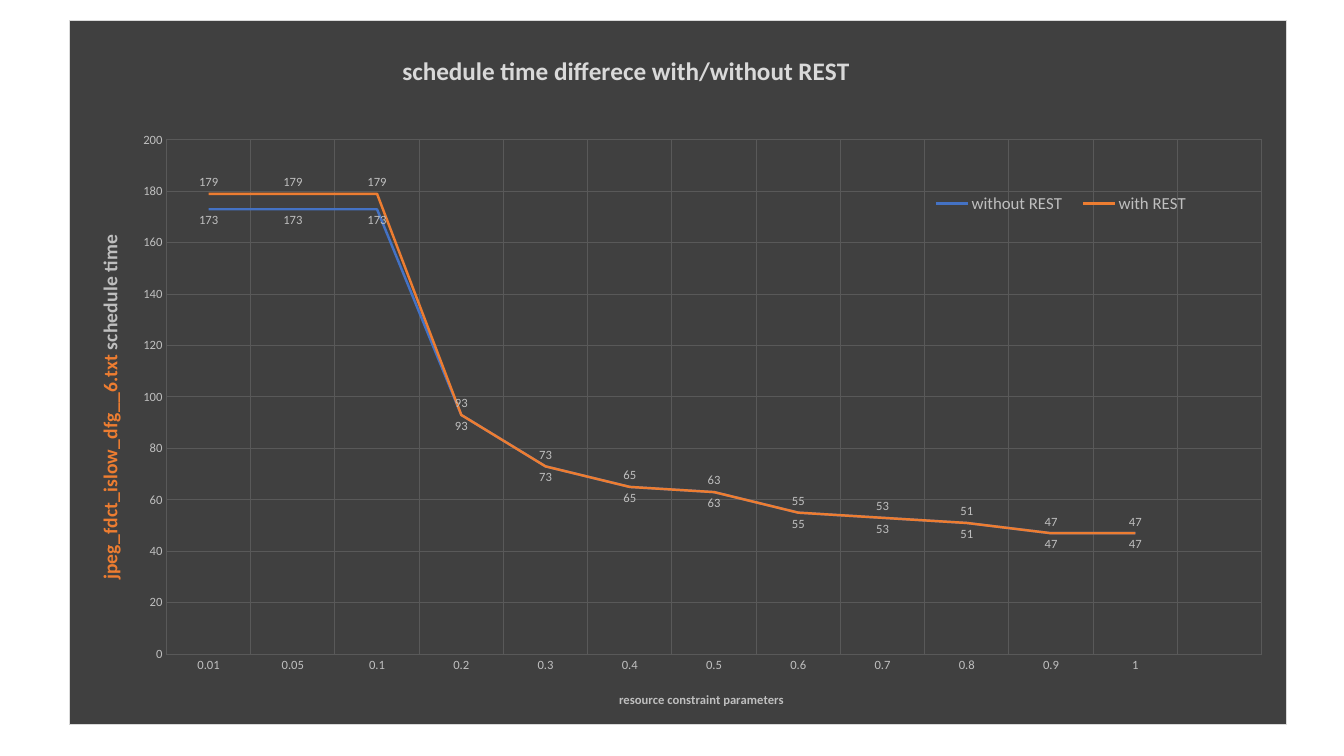
from dataclasses import dataclass

from lxml.etree import SubElement
from pptx import Presentation
from pptx.chart.data import CategoryChartData
from pptx.dml.color import RGBColor
from pptx.enum.chart import XL_CHART_TYPE, XL_LABEL_POSITION, XL_LEGEND_POSITION, XL_MARKER_STYLE, XL_TICK_MARK
from pptx.oxml import parse_xml
from pptx.oxml.ns import nsdecls, qn
from pptx.util import Pt


@dataclass(frozen=True)
class Theme:
    font: str = "Calibri"
    panel: str = "404040"
    border: str = "D9D9D9"
    grid: str = "595959"
    heading: str = "D9D9D9"
    text: str = "BFBFBF"
    blue: str = "4472C4"
    orange: str = "ED7D31"
    title_size: int = 18
    value_title_size: int = 14
    legend_size: int = 12
    small_size: int = 9


@dataclass(frozen=True)
class Schedule:
    name: str
    times: tuple
    color: str
    label_position: XL_LABEL_POSITION


THEME = Theme()
CONSTRAINTS = ("0.01", "0.05", "0.1", "0.2", "0.3", "0.4", "0.5",
               "0.6", "0.7", "0.8", "0.9", "1", "")
SHARED_TIMES = (93, 73, 65, 63, 55, 53, 51, 47, 47, None)
SCHEDULES = (
    Schedule("without REST", (173,) * 3 + SHARED_TIMES, THEME.blue, XL_LABEL_POSITION.BELOW),
    Schedule("with REST", (179,) * 3 + SHARED_TIMES, THEME.orange, XL_LABEL_POSITION.ABOVE),
)


def style_font(font, size: int, color: str, bold: bool = False) -> None:
    font.name = THEME.font
    font.size = Pt(size)
    font.bold = bold
    font.color.rgb = RGBColor.from_string(color)


def style_line(line, color: str, width: float) -> None:
    line.color.rgb = RGBColor.from_string(color)
    line.width = Pt(width)


def place(element, index: int, **fractions: float) -> None:
    """Give a chart part a manual layout in fractions of the chart; index is the layout's child position."""
    layout = element.find(qn("c:layout"))
    if layout is None:
        layout = SubElement(element, qn("c:layout"))
        element.insert(index, layout)
    manual = SubElement(layout, qn("c:manualLayout"))
    if "w" in fractions:
        if element.tag == qn("c:plotArea"):
            SubElement(manual, qn("c:layoutTarget")).set("val", "inner")
    for side in ("x", "y"):
        SubElement(manual, qn(f"c:{side}Mode")).set("val", "edge")
    for key, value in fractions.items():
        SubElement(manual, qn(f"c:{key}")).set("val", str(value))


def write_title(title, runs: tuple, size: int, x: float, y: float) -> None:
    p = title.text_frame.paragraphs[0]
    for text, color in runs:
        r = p.add_run()
        r.text = text
        style_font(r.font, size, color, bold=True)
    place(title._element, 1, x=x, y=y)


def style_axis(axis) -> None:
    axis.major_tick_mark = axis.minor_tick_mark = XL_TICK_MARK.NONE
    axis.format.line.fill.background()
    axis.has_major_gridlines = True
    style_line(axis.major_gridlines.format.line, THEME.grid, 0.75)
    style_font(axis.tick_labels.font, THEME.small_size, THEME.text)


def style_series(series, schedule: Schedule) -> None:
    series.smooth = False
    series.marker.style = XL_MARKER_STYLE.NONE
    style_line(series.format.line, schedule.color, 1.75)
    labels = series.data_labels
    labels.show_value = True
    labels.position = schedule.label_position
    style_font(labels.font, THEME.small_size, THEME.text)


def fill_panel(chart) -> None:
    panel = parse_xml(
        f'<c:spPr {nsdecls("c", "a")}>'
        f'<a:solidFill><a:srgbClr val="{THEME.panel}"/></a:solidFill>'
        f'<a:ln w="{Pt(0.75)}"><a:solidFill><a:srgbClr val="{THEME.border}"/></a:solidFill></a:ln>'
        '</c:spPr>')
    chart._chartSpace.find(qn("c:chart")).addnext(panel)


def add_schedule_chart(slide) -> None:
    data = CategoryChartData()
    data.categories = CONSTRAINTS
    for schedule in SCHEDULES:
        data.add_series(schedule.name, schedule.times)
    chart = slide.shapes.add_chart(XL_CHART_TYPE.LINE, Pt(49), Pt(14), Pt(870), Pt(504), data).chart
    style_font(chart.font, 10, THEME.text)
    fill_panel(chart)

    chart.has_title = True
    chart.chart_title.include_in_layout = True
    write_title(chart.chart_title, (("schedule time differece with/without REST", THEME.heading),),
                THEME.title_size, 0.27, 0.04)

    constraint_axis, time_axis = chart.category_axis, chart.value_axis
    for axis in (constraint_axis, time_axis):
        style_axis(axis)
    time_axis.minimum_scale, time_axis.maximum_scale, time_axis.major_unit = 0, 200, 20
    write_title(constraint_axis.axis_title, (("resource constraint parameters", THEME.text),),
                THEME.small_size, 0.45, 0.95)
    write_title(time_axis.axis_title,
                (("jpeg_fdct_islow_dfg__6.txt", THEME.orange), (" schedule time", THEME.text)),
                THEME.value_title_size, 0.02, 0.3)
    body = time_axis.axis_title.text_frame._txBody.bodyPr
    body.set("rot", "-5400000")
    body.set("vert", "horz")

    chart.has_legend = True
    legend = chart.legend
    legend.position = XL_LEGEND_POSITION.TOP
    legend.include_in_layout = False
    style_font(legend.font, THEME.legend_size, THEME.text)
    place(legend._element, 1, x=0.7, y=0.24, w=0.23, h=0.04)
    place(chart._chartSpace.chart.plotArea, 0, x=0.08, y=0.17, w=0.9, h=0.73)

    for series, schedule in zip(chart.plots[0].series, SCHEDULES):
        style_series(series, schedule)


def main() -> None:
    prs = Presentation()
    prs.slide_width, prs.slide_height = Pt(960), Pt(540)
    slide = prs.slides.add_slide(prs.slide_layouts[6])
    add_schedule_chart(slide)
    prs.save("out.pptx")


if __name__ == "__main__":
    main()
